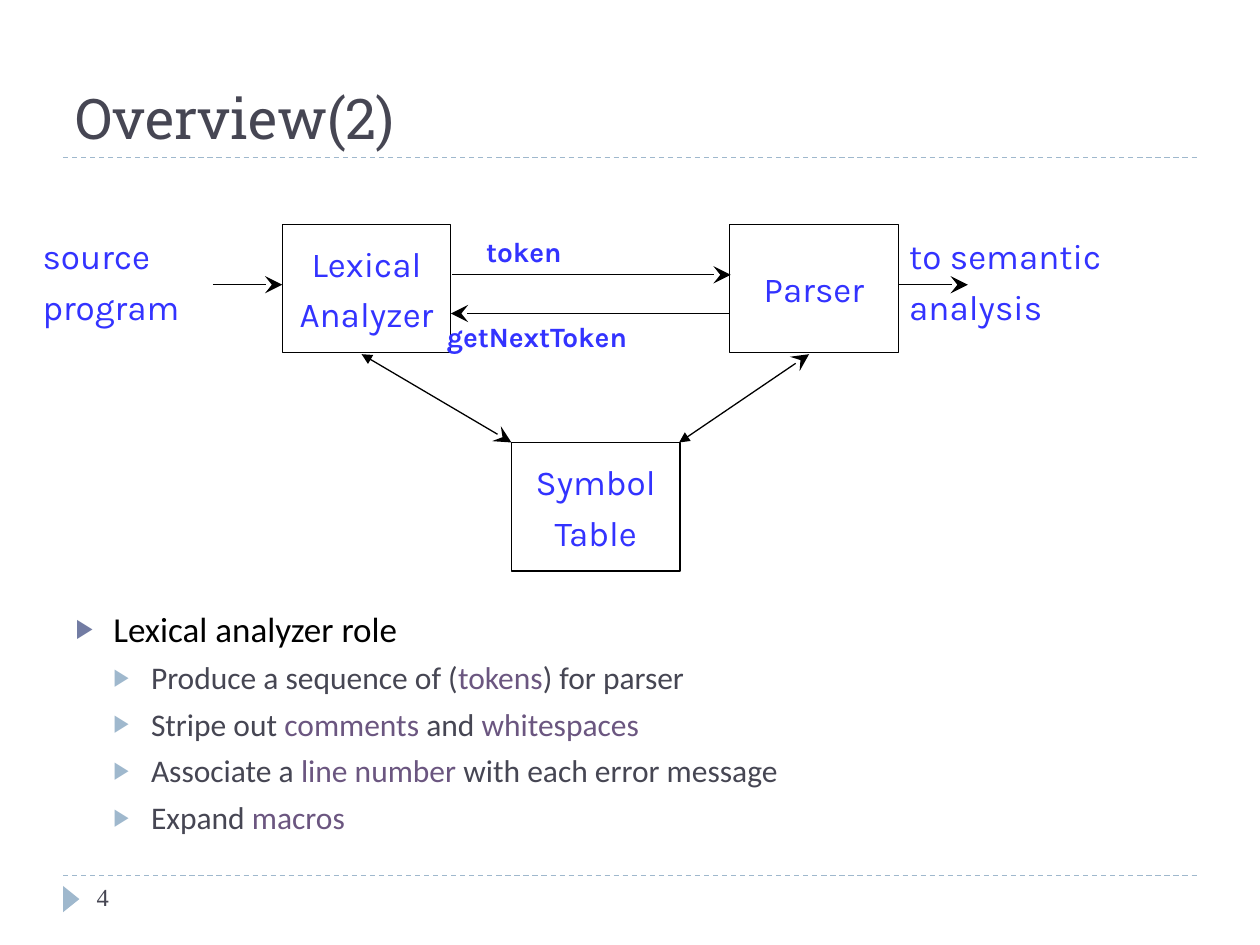
import pptx
import pptx.util
import pptx.dml.color
import pptx.enum.dml
import pptx.enum.shapes
import pptx.enum.text
import pptx.oxml.ns
import lxml.etree

Cm = pptx.util.Cm
Pt = pptx.util.Pt
RGBColor = pptx.dml.color.RGBColor
MSO_SHAPE = pptx.enum.shapes.MSO_SHAPE
PP_ALIGN = pptx.enum.text.PP_ALIGN
MSO_ANCHOR = pptx.enum.text.MSO_ANCHOR

BLACK = RGBColor(0x00, 0x00, 0x00)
SLATE = RGBColor(0x46, 0x46, 0x53)
BLUE = RGBColor(0x33, 0x33, 0xFF)
PURPLE = RGBColor(0x6B, 0x56, 0x80)
INDIGO = RGBColor(0x72, 0x7C, 0xA3)
PALE_BLUE = RGBColor(0x9F, 0xB8, 0xCD)

TITLE = "Overview(2)"
PAGE_NUMBER = "4"
ROLE = "Lexical analyzer role"
# Every second piece of a task is emphasised.
TASKS = [
    ("Produce a sequence of (", "tokens", ") for parser"),
    ("Stripe out ", "comments", " and ", "whitespaces"),
    ("Associate a ", "line number", " with each error message"),
    ("Expand ", "macros"),
]
BOX_WIDTH, BOX_HEIGHT = 3.4, 2.59
BOXES = [
    (("Lexical", "Analyzer"), 5.69, 4.52),
    (("Parser",), 14.71, 4.52),
    (("Symbol", "Table"), 10.31, 8.92),
]
LABELS = [
    (("source", "program"), (0.61, 4.6, 5.36, 2.13), 20),
    (("to semantic", "analysis"), (18.08, 4.6, 6.27, 2.13), 20),
    (("token",), (9.55, 4.6, 4.06, 0.94), 16),
    (("getNextToken",), (8.76, 6.32, 6.43, 0.94), 16),
]
ARROWS = [
    ((9.12, 5.54, 14.73, 5.54), False),
    ((14.71, 6.32, 9.09, 6.32), False),
    ((4.29, 5.74, 5.69, 5.74), False),
    ((18.11, 5.74, 19.51, 5.74), False),
    ((7.29, 7.14, 10.31, 8.92), True),
    ((13.69, 8.92, 16.31, 7.14), True),
]
RULE_HEIGHTS = [17.65, 3.18]


def add_xml(parent, tag, **attributes):
    return lxml.etree.SubElement(parent, pptx.oxml.ns.qn(tag), **attributes)


def write(frame, pieces, size, font, color, accent=None, bold=False, align=PP_ALIGN.LEFT,
          before=0, level=0, bullet=None):
    first = not frame.text
    paragraph = frame.paragraphs[0] if first else frame.add_paragraph()
    if bullet is not None:
        properties = paragraph._p.get_or_add_pPr()
        properties.set("marL", str(Cm(0.76 * (level + 1))))
        properties.set("indent", str(-Cm(0.76)))
        add_xml(add_xml(properties, "a:buClr"), "a:srgbClr", val=str(bullet))
        add_xml(properties, "a:buSzPct", val="76000")
        add_xml(properties, "a:buChar", char="▶")
    paragraph.level = level
    paragraph.alignment = align
    paragraph.space_before = Pt(0 if first else before)
    for index, piece in enumerate(pieces):
        run = paragraph.add_run()
        run.text = piece
        run.font.size = Pt(size)
        run.font.name = font
        run.font.bold = bold
        run.font.color.rgb = accent if index % 2 else color


def place(shape, left, top, width, height, anchor=MSO_ANCHOR.TOP):
    shape.left, shape.top, shape.width, shape.height = map(Cm, (left, top, width, height))
    frame = shape.text_frame
    frame.word_wrap = True
    frame.auto_size = pptx.enum.text.MSO_AUTO_SIZE.NONE
    frame.vertical_anchor = anchor
    return frame


def add_text_box(slide, *area):
    return place(slide.shapes.add_textbox(0, 0, 0, 0), *area)


def add_line(slide, points, color):
    line = slide.shapes.add_connector(pptx.enum.shapes.MSO_CONNECTOR.STRAIGHT, *map(Cm, points))
    line.line.color.rgb = color
    line.line.width = Pt(0.75)
    add_xml(line._element.spPr, "a:effectLst")
    return line


def add_frame(slide):
    for height in RULE_HEIGHTS:
        rule = add_line(slide, (1.27, height, 24.13, height), PALE_BLUE)
        rule.line.dash_style = pptx.enum.dml.MSO_LINE.DASH
    marker = slide.shapes.add_shape(MSO_SHAPE.ISOSCELES_TRIANGLE,
                                    Cm(1.17), Cm(17.96), Cm(0.53), Cm(0.33))
    marker.rotation = 90
    marker.shadow.inherit = False
    marker.fill.solid()
    marker.fill.fore_color.rgb = PALE_BLUE
    marker.line.fill.background()
    number = add_text_box(slide, 1.7, 17.65, 5.51, 1.02)
    write(number, [PAGE_NUMBER], 14, "Times New Roman", SLATE)


def add_outline(slide):
    title = place(slide.shapes.title, 1.27, 0.43, 22.86, 2.74, MSO_ANCHOR.BOTTOM)
    write(title, [TITLE], 32, "Roboto Slab", SLATE)
    body = place(slide.placeholders[1], 1.27, 12.12, 22.86, 5.79)
    write(body, [ROLE], 20, "Calibri", BLACK, bullet=INDIGO)
    for task in TASKS:
        write(body, task, 18, "Calibri", SLATE, accent=PURPLE,
              before=5, level=1, bullet=PALE_BLUE)


def add_diagram(slide):
    for lines, left, top in BOXES:
        box = slide.shapes.add_shape(MSO_SHAPE.RECTANGLE, 0, 0, 0, 0)
        box.shadow.inherit = False
        box.fill.background()
        box.line.color.rgb = BLACK
        box.line.width = Pt(0.75)
        frame = place(box, left, top, BOX_WIDTH, BOX_HEIGHT, MSO_ANCHOR.MIDDLE)
        for line in lines:
            write(frame, [line], 20, "Karla", BLUE, align=PP_ALIGN.CENTER, before=5)
    for lines, area, size in LABELS:
        frame = add_text_box(slide, *area)
        for line in lines:
            write(frame, [line], size, "Karla", BLUE, bold=size == 16, before=5)
    for points, two_way in ARROWS:
        outline = add_line(slide, points, BLACK).line._get_or_add_ln()
        if two_way:
            add_xml(outline, "a:headEnd", type="triangle")
        add_xml(outline, "a:tailEnd", type="stealth", w="lg", len="lg")


def main():
    presentation = pptx.Presentation()
    presentation.slide_width, presentation.slide_height = Cm(25.4), Cm(19.05)
    slide = presentation.slides.add_slide(presentation.slide_layouts[1])
    add_frame(slide)
    add_outline(slide)
    add_diagram(slide)
    presentation.save("out.pptx")


if __name__ == "__main__":
    main()
